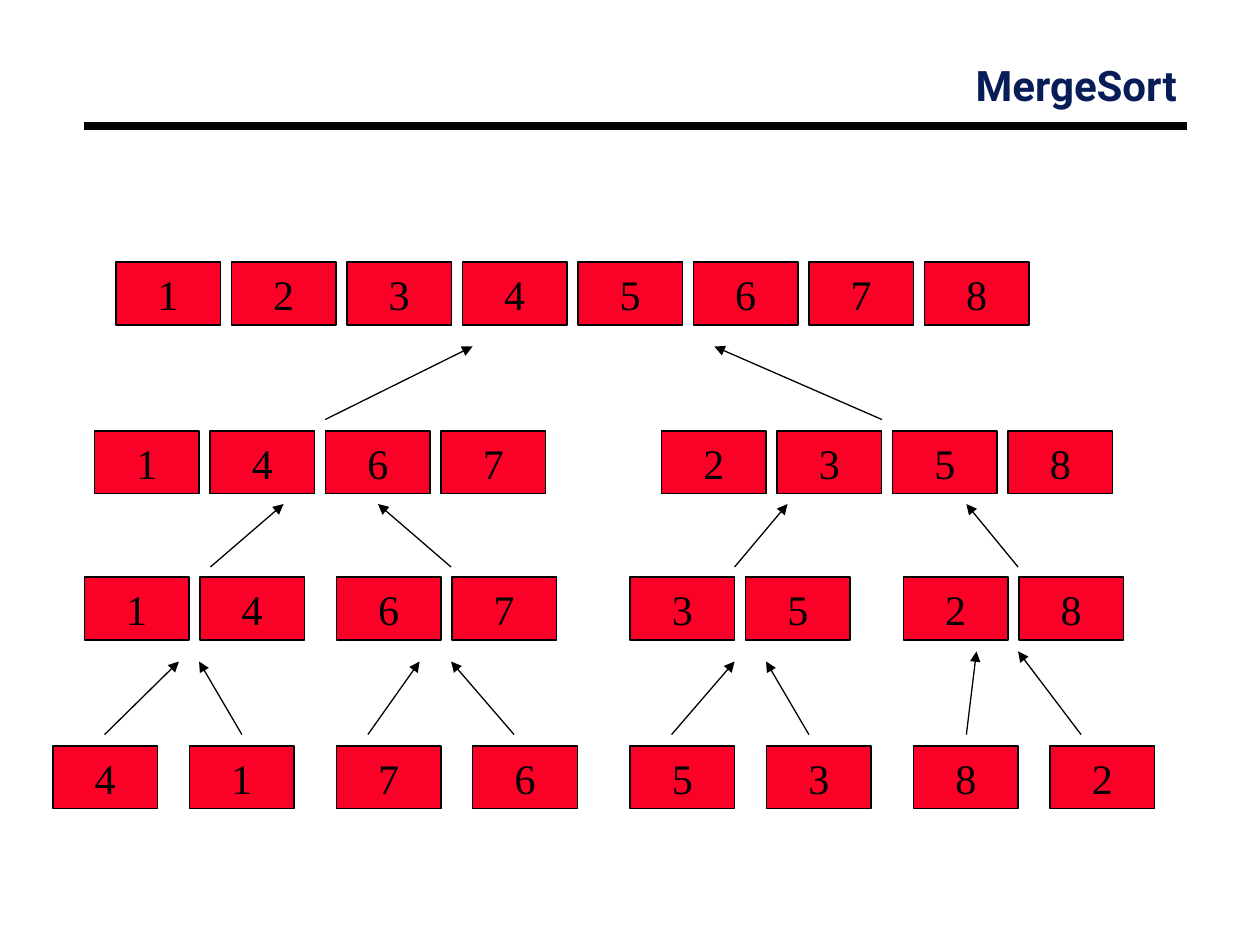
from typing import NamedTuple

from lxml import etree
from pptx import Presentation
from pptx import util as u
from pptx.dml.color import RGBColor
from pptx.enum import shapes, text
from pptx.oxml import ns

CELL_WIDTH, CELL_HEIGHT = 0.83, 0.5
RUN_PITCH = 0.9167  # step between cells of a sorted run
LEAF_PITCH = 1.0833  # step between the two single cells of a pair
BLACK, RED, NAVY = "000000", "FC0128", "081D58"


class Run(NamedTuple):
    left: float
    top: float
    values: str
    pitch: float = RUN_PITCH


class Arrow(NamedTuple):
    start_x: float
    start_y: float
    end_x: float
    end_y: float


RUNS = [
    Run(0.92, 2.08, "12345678"),
    Run(0.75, 3.42, "1467"),
    Run(5.25, 3.42, "2358"),
    *(Run(left, 4.58, values)
      for left, values in [(0.67, "14"), (2.67, "67"), (5, "35"), (7.17, "28")]),
    *(Run(left, 5.92, values, LEAF_PITCH)
      for left, values in [(0.42, "41"), (2.67, "76"), (5, "53"), (7.25, "82")]),
]

ARROWS = [
    *(Arrow(start, 5.83, end, 5.25)
      for start, end in [(0.83, 1.42), (1.92, 1.58), (2.92, 3.33),
                         (4.08, 3.58), (5.33, 5.83), (6.42, 6.08)]),
    *(Arrow(start, 5.83, end, 5.17) for start, end in [(7.67, 7.75), (8.58, 8.08)]),
    *(Arrow(start, 4.5, end, 4)
      for start, end in [(1.67, 2.25), (3.58, 3), (5.83, 6.25), (8.08, 7.67)]),
    *(Arrow(start, 3.33, end, 2.75) for start, end in [(2.58, 3.75), (7, 5.67)]),
]


def set_color(color_format, value: str) -> None:
    """Apply a hex colour to a fill or a font colour."""
    color_format.rgb = RGBColor.from_string(value)


def style_font(font, name: str, color: str, bold: bool = False) -> None:
    font.name = name
    font.size = u.Pt(24)
    font.bold = bold
    set_color(font.color, color)


def add_line(slide, line: Arrow, width: float):
    connector = slide.shapes.add_connector(
        shapes.MSO_CONNECTOR.STRAIGHT, *(u.Inches(value) for value in line))
    connector.line.width = u.Pt(width)
    connector.line.fill.solid()
    set_color(connector.line.fill.fore_color, BLACK)
    etree.SubElement(connector._element.spPr, ns.qn("a:effectLst"))
    return connector


def add_arrow(slide, arrow: Arrow) -> None:
    connector = add_line(slide, arrow, 0.75)
    etree.SubElement(connector.line._get_or_add_ln(), ns.qn("a:tailEnd"), type="triangle")


def add_cell(slide, left: float, top: float, value: str) -> None:
    cell = slide.shapes.add_shape(
        shapes.MSO_SHAPE.RECTANGLE, u.Inches(left), u.Inches(top),
        u.Inches(CELL_WIDTH), u.Inches(CELL_HEIGHT))
    cell.shadow.inherit = False
    cell.fill.solid()
    set_color(cell.fill.fore_color, RED)
    cell.line.width = u.Pt(0.75)
    cell.line.fill.solid()
    set_color(cell.line.fill.fore_color, BLACK)
    frame = cell.text_frame
    frame.text = value
    frame.word_wrap = False
    frame.vertical_anchor = text.MSO_ANCHOR.MIDDLE
    paragraph = frame.paragraphs[0]
    paragraph.alignment = text.PP_ALIGN.CENTER
    style_font(paragraph.runs[0].font, "Times New Roman", BLACK)


def add_run(slide, run: Run) -> None:
    for index, value in enumerate(run.values):
        add_cell(slide, run.left + index * run.pitch, run.top, value)


def add_title(slide, title: str) -> None:
    box = slide.shapes.add_textbox(
        u.Inches(0.87), u.Inches(0.5), u.Inches(8.54), u.Inches(0.75))
    frame = box.text_frame
    frame.text = title
    frame.word_wrap = True
    frame.margin_left = frame.margin_right = u.Inches(0.07)
    frame.margin_top = frame.margin_bottom = u.Inches(0.03)
    paragraph = frame.paragraphs[0]
    paragraph.alignment = text.PP_ALIGN.RIGHT
    paragraph.line_spacing = 0.87
    style_font(paragraph.runs[0].font, "Roboto", NAVY, bold=True)


def main() -> None:
    presentation = Presentation()
    presentation.slide_width = u.Inches(10)
    presentation.slide_height = u.Inches(7.5)
    slide = presentation.slides.add_slide(presentation.slide_layouts[6])
    add_line(slide, Arrow(0.67, 1, 9.42, 1), 4.5)
    add_title(slide, "MergeSort")
    for run in RUNS:
        add_run(slide, run)
    for arrow in ARROWS:
        add_arrow(slide, arrow)
    presentation.save("out.pptx")


if __name__ == "__main__":
    main()
